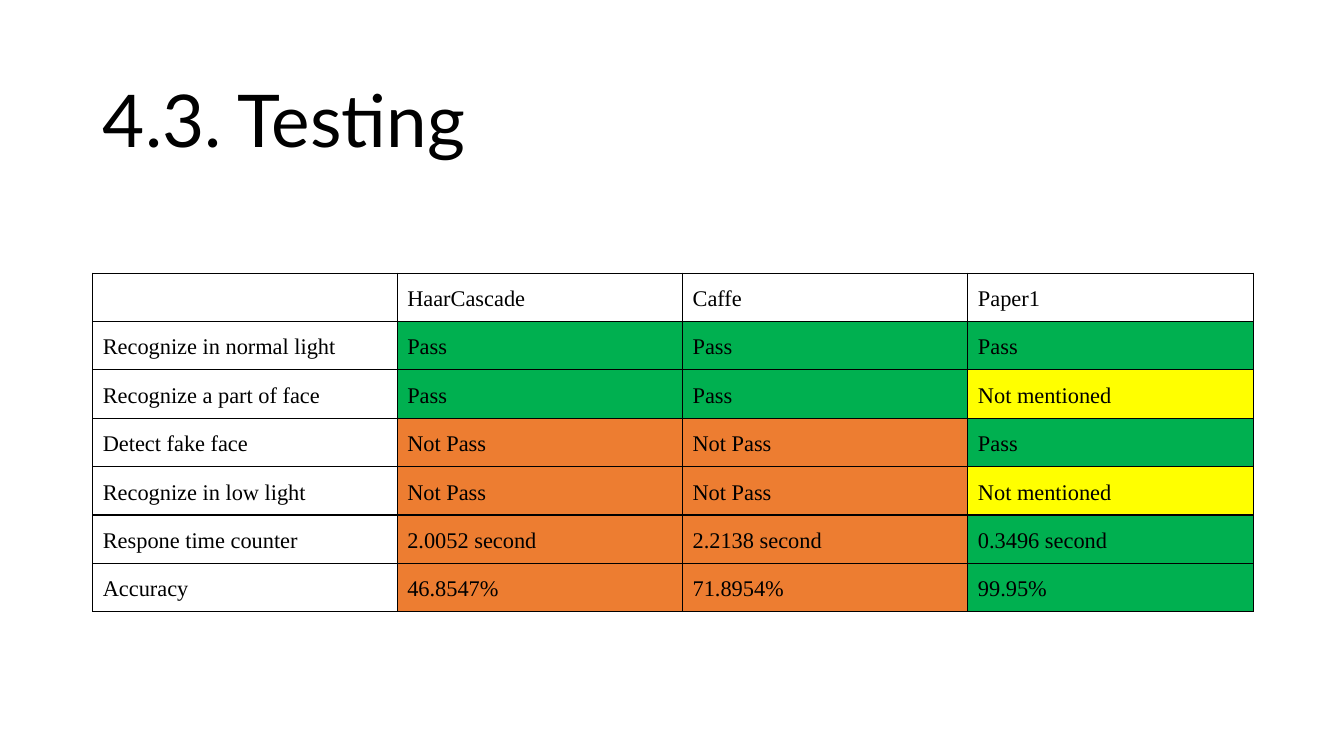
from lxml.etree import SubElement
from pptx import Presentation
from pptx.dml.color import RGBColor
from pptx.enum.text import MSO_ANCHOR, PP_ALIGN
from pptx.oxml.ns import qn
from pptx.util import Inches, Pt

COLORS = {
    "text": "000000",
    "border": "000000",
    "good": "00B050",
    "bad": "ED7D31",
    "unknown": "FFFF00",
}
HEADINGS = ["", "HaarCascade", "Caffe", "Paper1"]
RESULTS = [
    ("Recognize in normal light", ["Pass", "Pass", "Pass"], ["good", "good", "good"]),
    ("Recognize a part of face", ["Pass", "Pass", "Not mentioned"], ["good", "good", "unknown"]),
    ("Detect fake face", ["Not Pass", "Not Pass", "Pass"], ["bad", "bad", "good"]),
    ("Recognize in low light", ["Not Pass", "Not Pass", "Not mentioned"], ["bad", "bad", "unknown"]),
    ("Respone time counter", ["2.0052 second", "2.2138 second", "0.3496 second"], ["bad", "bad", "good"]),
    ("Accuracy", ["46.8547%", "71.8954%", "99.95%"], ["bad", "bad", "good"]),
]
COLUMN_WIDTHS = [3.02, 2.83, 2.83, 2.83]
ROW_HEIGHT = 0.48


def add_text(paragraph, text, font_name, size):
    run = paragraph.add_run()
    run.text = text
    run.font.name = font_name
    run.font.size = Pt(size)
    run.font.color.rgb = RGBColor.from_string(COLORS["text"])


def add_borders(cell):
    properties = cell._tc.get_or_add_tcPr()
    for side in ("a:lnL", "a:lnR", "a:lnT", "a:lnB"):
        line = SubElement(properties, qn(side), w=str(Pt(1)))
        fill = SubElement(line, qn("a:solidFill"))
        SubElement(fill, qn("a:srgbClr"), val=COLORS["border"])


prs = Presentation()
prs.slide_width = Inches(13.33)
prs.slide_height = Inches(7.5)
slide = prs.slides.add_slide(prs.slide_layouts[5])

title = slide.shapes.title
title.left, title.top = Inches(0.92), Inches(0.61)
title.width, title.height = Inches(11.5), Inches(1.24)
title.text_frame.vertical_anchor = MSO_ANCHOR.MIDDLE
heading = title.text_frame.paragraphs[0]
heading.alignment = PP_ALIGN.LEFT
heading.line_spacing = 0.9
add_text(heading, "4.3. Testing", "Lato", 52)

rows = [(HEADINGS, [None] * len(HEADINGS))]
rows += [([test] + values, [None] + verdicts) for test, values, verdicts in RESULTS]

comparison = slide.shapes.add_table(
    len(rows), len(HEADINGS), Inches(0.92), Inches(2.71),
    Inches(sum(COLUMN_WIDTHS)), Inches(ROW_HEIGHT * len(rows)),
).table
comparison.first_row = False
comparison.horz_banding = False
for column, width in zip(comparison.columns, COLUMN_WIDTHS):
    column.width = Inches(width)

for row, (texts, verdicts) in zip(comparison.rows, rows):
    row.height = Inches(ROW_HEIGHT)
    for cell, text, verdict in zip(row.cells, texts, verdicts):
        cell.margin_left = cell.margin_right = Inches(0.1)
        cell.margin_top, cell.margin_bottom = Inches(0.01), Inches(0)
        add_borders(cell)
        if verdict:
            cell.fill.solid()
            cell.fill.fore_color.rgb = RGBColor.from_string(COLORS[verdict])
        else:
            cell.fill.background()
        if text:
            paragraph = cell.text_frame.paragraphs[0]
            paragraph.line_spacing = 1.5
            add_text(paragraph, text, "Times New Roman", 16)

prs.save("out.pptx")
